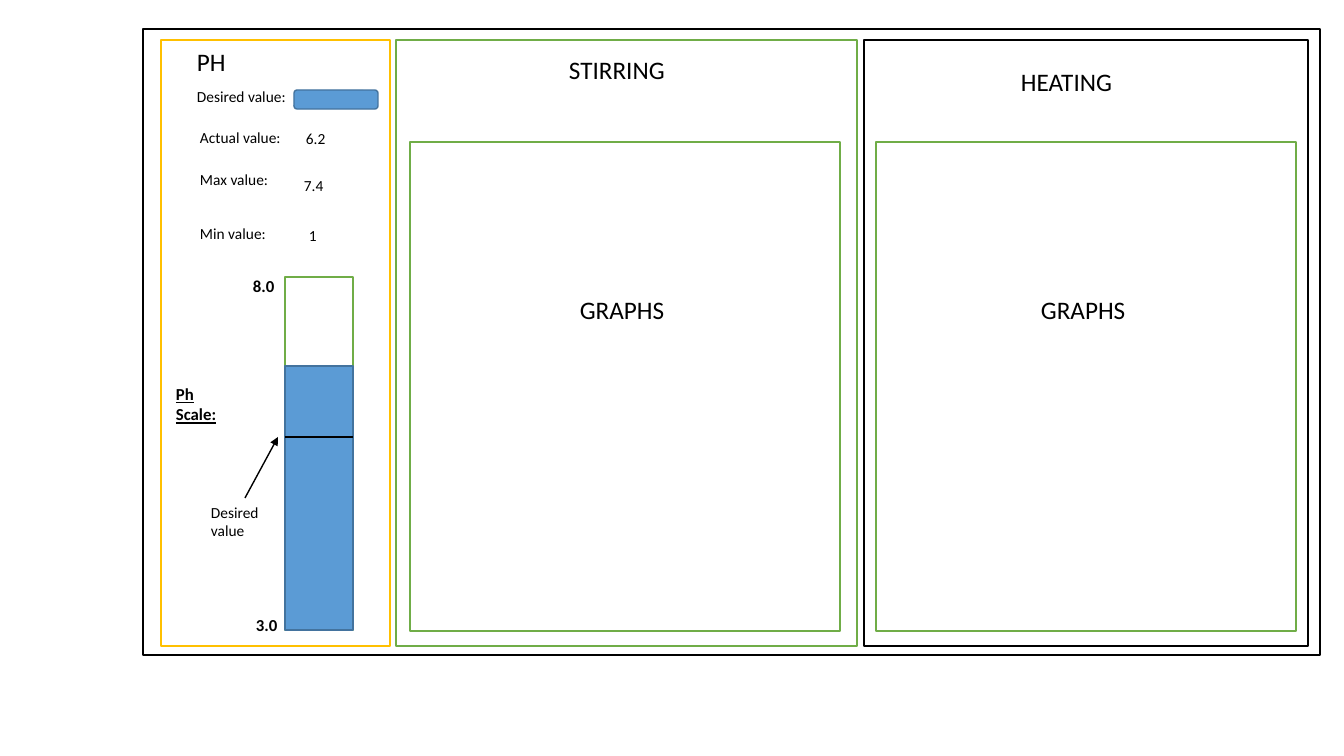
from dataclasses import dataclass

from lxml import etree
from pptx import Presentation
from pptx.dml.color import RGBColor
from pptx.enum.shapes import MSO_CONNECTOR, MSO_SHAPE
from pptx.enum.text import MSO_ANCHOR, PP_ALIGN
from pptx.oxml.ns import qn
from pptx.util import Pt

RECT = MSO_SHAPE.RECTANGLE
ROUNDED = MSO_SHAPE.ROUNDED_RECTANGLE
STRAIGHT = MSO_CONNECTOR.STRAIGHT
TOP = MSO_ANCHOR.TOP
LEFT = PP_ALIGN.LEFT

PIXEL = 914400 / 100.8
PAGE_WIDTH, PAGE_HEIGHT = 1344, 756


@dataclass(frozen=True)
class Theme:
    font: str = "Calibri"
    heading: int = 18
    scale: int = 12
    label: int = 11
    ink: str = "000000"
    paper: str = "FFFFFF"
    green: str = "70AD47"
    gold: str = "FFC000"
    blue: str = "5B9BD5"
    blue_edge: str = "43739E"


THEME = Theme()


def px(value):
    return round(value * PIXEL)


def color(code):
    return RGBColor.from_string(code)


def add_box(page, left, top, width, height, edge, fill=THEME.paper, kind=RECT):
    box = page.shapes.add_shape(kind, px(left), px(top), px(width), px(height))
    box.shadow.inherit = False
    box.fill.solid()
    box.fill.fore_color.rgb = color(fill)
    box.line.color.rgb = color(edge)
    box.line.width = Pt(1)


def add_text(page, text, left, top, width, height, size, bold=False, underline=False):
    box = page.shapes.add_textbox(px(left), px(top), px(width), px(height))
    frame = box.text_frame
    frame.word_wrap = True
    frame.vertical_anchor = TOP
    para = frame.paragraphs[0]
    para.text = text
    para.alignment = LEFT
    for span in para.runs:
        span.font.name = THEME.font
        span.font.size = Pt(size)
        span.font.bold = bold
        span.font.underline = underline
        span.font.color.rgb = color(THEME.ink)


def add_line(page, start, end, weight, arrow=False):
    line = page.shapes.add_connector(STRAIGHT, *map(px, start + end))
    line.line.color.rgb = color(THEME.ink)
    line.line.width = Pt(weight)
    if arrow:
        etree.SubElement(line.line._get_or_add_ln(), qn("a:tailEnd"), type="triangle")
    etree.SubElement(line._element.spPr, qn("a:effectLst"))


def add_heading(page, text, left, top, width):
    add_text(page, text, left, top, width, 40, THEME.heading)


def add_panel(page, left, width, edge):
    add_box(page, left, 40, width, 606, edge)


def add_graph_panel(page, panel, graph, heading, graph_label, edge):
    add_panel(page, *panel, edge)
    graph_left, graph_width = graph
    add_box(page, graph_left, 142, graph_width, 489, THEME.green)
    add_heading(page, *heading)
    label_left, label_width = graph_label
    add_heading(page, "GRAPHS", label_left, 289, label_width)


def add_readings(page):
    add_heading(page, "PH", 187, 41, 200)
    add_box(page, 294, 90, 84, 19, THEME.blue_edge, THEME.blue, ROUNDED)
    readings = [
        ("Desired value:", 187, 82, 198),
        ("Actual value:", 190, 123, 148),
        ("6.2", 296, 124, 42),
        ("Max value:", 190, 165, 100),
        ("7.4", 294, 171, 47),
        ("Min value:", 190, 219, 89),
        ("1", 299, 221, 46),
    ]
    for text, left, top, width in readings:
        add_text(page, text, left, top, width, 29, THEME.label)


def add_ph_scale(page):
    left, width, top, bottom = 285, 68, 277, 630
    level, desired = 366, 437
    add_box(page, left, top, width, bottom - top, THEME.green)
    add_box(page, left, level, width, bottom - level, THEME.blue_edge, THEME.blue)
    add_line(page, (left, desired), (left + width, desired), 1.5)

    # Scale name and end values
    add_text(page, "Ph\vScale:", 166, 379, 67, 50, THEME.scale, bold=True, underline=True)
    for text, text_left, text_top in [("8.0", 243, 271), ("3.0", 246, 610)]:
        add_text(page, text, text_left, text_top, 48, 30, THEME.scale, bold=True)

    # Pointer to the desired value
    add_text(page, "Desired value", 201, 498, 70, 47, THEME.label)
    add_line(page, (245, 498), (278, desired), 1, arrow=True)


def main():
    deck = Presentation()
    deck.slide_width, deck.slide_height = px(PAGE_WIDTH), px(PAGE_HEIGHT)
    page = deck.slides.add_slide(deck.slide_layouts.get_by_name("Blank"))

    # Outer frame
    add_box(page, 143, 29, 1177, 626, THEME.ink)

    # Graph panels
    add_graph_panel(page, (396, 461), (410, 430), ("STIRRING", 559, 49, 136),
                    (570, 117), THEME.green)
    add_graph_panel(page, (864, 444), (876, 420), ("HEATING", 1011, 61, 173),
                    (1031, 181), THEME.ink)

    # PH panel
    add_panel(page, 161, 229, THEME.gold)
    add_readings(page)
    add_ph_scale(page)

    deck.save("out.pptx")


main()
